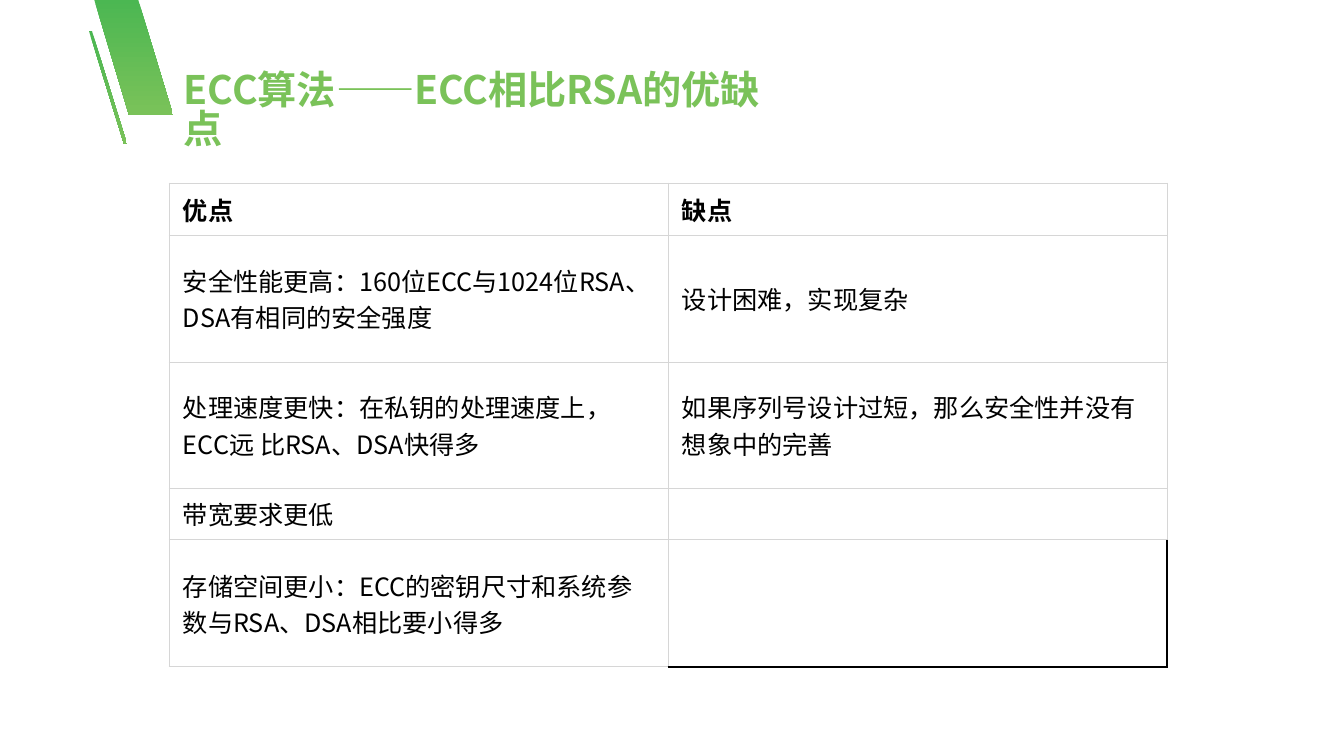
from dataclasses import dataclass
from lxml.etree import SubElement
from pptx import Presentation
from pptx.dml.color import RGBColor
from pptx.enum.text import MSO_ANCHOR
from pptx.oxml.ns import qn
from pptx.util import Emu, Pt

SCALE = 914400 / 100.8


@dataclass(frozen=True)
class Theme:
    font: str = "Noto Sans CJK SC"
    green_top: str = "4BB752"
    green: str = "7AC259"
    ink: str = "000000"
    paper: str = "FFFFFF"
    grid: str = "D6D6D6"
    title_size: int = 28
    body_size: int = 18
    grid_width: float = 0.75
    edge_width: float = 1


THEME = Theme()

TITLE = "ECC算法——ECC相比RSA的优缺点"
COMPARISON = [
    ("优点", "缺点"),
    ("安全性能更高：160位ECC与1024位RSA、DSA有相同的安全强度", "设计困难，实现复杂"),
    ("处理速度更快：在私钥的处理速度上，ECC远 比RSA、DSA快得多",
     "如果序列号设计过短，那么安全性并没有想象中的完善"),
    ("带宽要求更低", ""),
    ("存储空间更小：ECC的密钥尺寸和系统参数与RSA、DSA相比要小得多", ""),
]
ROW_HEIGHTS = [52, 127, 126, 52, 127]


def px(length):
    return Emu(round(length * SCALE))


def apply(target, values):
    for name, value in values.items():
        setattr(target, name, value)


def write(frame, text, size, color, bold):
    para = frame.paragraphs[0]
    span = para.add_run()
    span.text = text
    apply(span.font, {"name": THEME.font, "size": Pt(size), "bold": bold})
    span.font.color.rgb = RGBColor.from_string(color)
    SubElement(span.font._element, qn("a:ea"), typeface=THEME.font)
    return para


def add_stripe(page, box, lean):
    left, top, width, height = box
    right, bottom = left + width, top + height
    outline = page.shapes.build_freeform(left, top, scale=SCALE)
    outline.add_line_segments(
        [(right - lean, top), (right, bottom), (left + lean, bottom)], close=True)
    stripe = outline.convert_to_shape()
    stripe.shadow.inherit = False
    stripe.line.fill.background()
    stripe.fill.gradient()
    stripe.fill.gradient_angle = 270
    for stop, color in zip(stripe.fill.gradient_stops, (THEME.green_top, THEME.green)):
        stop.color.rgb = RGBColor.from_string(color)


def add_corner(page, box):
    left, top, width, height = box
    add_stripe(page, (left + 5, top, width - 5, height - 29), 35)
    add_stripe(page, (left, top + 32, 38, height - 32), 35)


def add_title(page, box):
    frame = page.shapes.add_textbox(*map(px, box)).text_frame
    frame.word_wrap = True
    para = write(frame, TITLE, THEME.title_size, THEME.green, True)
    para.line_spacing = 0.83


def add_border(cell, side, color, width):
    line = SubElement(cell._tc.get_or_add_tcPr(), qn(f"a:ln{side}"), w=str(Pt(width)))
    SubElement(SubElement(line, qn("a:solidFill")), qn("a:srgbClr"), val=color)


def format_cell(cell, is_corner):
    apply(cell, {"vertical_anchor": MSO_ANCHOR.MIDDLE,
                 "margin_left": px(14), "margin_right": px(14),
                 "margin_top": px(6), "margin_bottom": px(6)})
    for side in "LRTB":
        dark = is_corner and side in "RB"
        add_border(cell, side, THEME.ink if dark else THEME.grid,
                   THEME.edge_width if dark else THEME.grid_width)
    if is_corner:
        cell.fill.background()
    else:
        cell.fill.solid()
        cell.fill.fore_color.rgb = RGBColor.from_string(THEME.paper)


def add_comparison(page, box):
    table = page.shapes.add_table(len(COMPARISON), 2, *map(px, box)).table
    apply(table, {"first_row": False, "horz_banding": False})
    for column in table.columns:
        column.width = px(box[2] / 2)
    for row, height in zip(table.rows, ROW_HEIGHTS):
        row.height = px(height)
    last = (len(COMPARISON) - 1, 1)
    for i, texts in enumerate(COMPARISON):
        for j, text in enumerate(texts):
            cell = table.cell(i, j)
            format_cell(cell, (i, j) == last)
            if text:
                write(cell.text_frame, text, THEME.body_size, THEME.ink, i == 0)


def main():
    deck = Presentation()
    apply(deck, {"slide_width": px(1344), "slide_height": px(756)})
    page = deck.slides.add_slide(deck.slide_layouts[6])
    add_corner(page, (89, -1, 84, 145))
    add_title(page, (174, 68, 630, 104))
    add_comparison(page, (169, 183, 998, sum(ROW_HEIGHTS)))
    deck.save("out.pptx")


if __name__ == "__main__":
    main()
